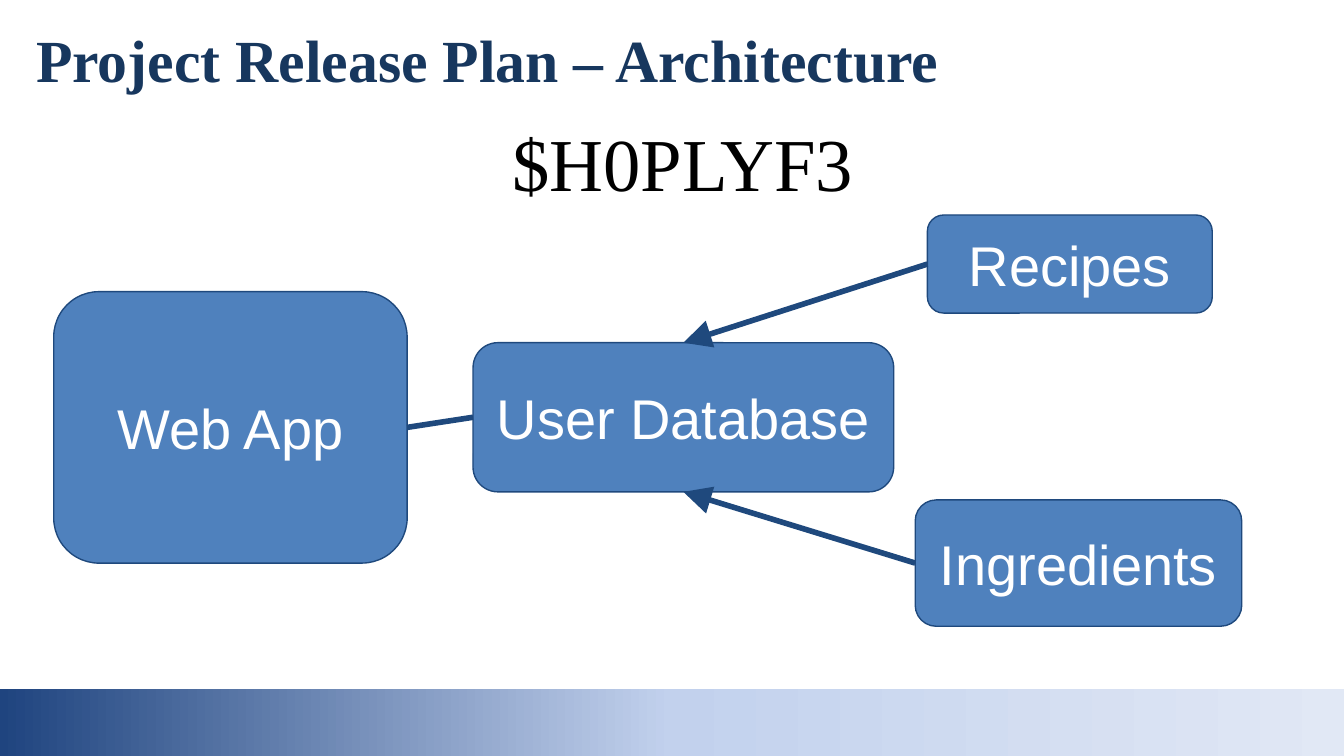
import dataclasses

import lxml.etree
import pptx
import pptx.dml.color
import pptx.enum.shapes
import pptx.enum.text
import pptx.oxml.ns
import pptx.util

Inches = pptx.util.Inches
RGB = pptx.dml.color.RGBColor
Align = pptx.enum.text.PP_ALIGN
Anchor = pptx.enum.text.MSO_ANCHOR
Shape = pptx.enum.shapes.MSO_SHAPE
qn = pptx.oxml.ns.qn

# Widescreen page, 16 by 9
WIDTH = Inches(10)
HEIGHT = Inches(10 * 9 / 16)

NAVY = RGB(0x17, 0x37, 0x5E)
EDGE = RGB(0x1F, 0x49, 0x7D)
BLUE = RGB(0x4F, 0x81, 0xBD)
WHITE = RGB(0xFF, 0xFF, 0xFF)
BLACK = RGB(0, 0, 0)
FADE = [(0, RGB(0x1F, 0x44, 0x7F)), (50, RGB(0xC2, 0xD1, 0xED)),
        (100, RGB(0xE1, 0xE8, 0xF5))]
SERIF, SANS = "Times New Roman", "Arial"
TOP, LEFT, BOTTOM, RIGHT = range(4)  # connection sites


@dataclasses.dataclass
class Box:
    text: str
    left: float
    top: float
    width: float
    height: float


@dataclasses.dataclass
class Link:
    start: str
    exit: int
    end: str
    entry: int
    arrow: bool = True


BOXES = [
    Box("User Database", 3.52, 2.55, 3.13, 1.11),
    Box("Web App", 0.4, 2.17, 2.63, 2.02),
    Box("Recipes", 6.9, 1.6, 2.12, 0.73),
    Box("Ingredients", 6.81, 3.72, 2.43, 0.94),
]
LINKS = [
    Link("Recipes", LEFT, "User Database", TOP),
    Link("Web App", RIGHT, "User Database", LEFT, arrow=False),
    Link("Ingredients", LEFT, "User Database", BOTTOM),
]


def write(shape, text: str, *, size: float, color: RGB, font: str = SANS,
          bold: bool = False, align=Align.CENTER, anchor=Anchor.MIDDLE,
          inset: float = 0.05) -> None:
    """Fill a shape with one formatted line of text."""
    frame = shape.text_frame
    frame.word_wrap = True
    frame.auto_size = pptx.enum.text.MSO_AUTO_SIZE.NONE
    frame.vertical_anchor = anchor
    frame.margin_left = frame.margin_right = Inches(0.1)
    frame.margin_top = frame.margin_bottom = Inches(inset)
    line = frame.paragraphs[0]
    line.alignment = align
    run = line.add_run()
    run.text = text
    run.font.size = pptx.util.Pt(size)
    run.font.name = font
    run.font.bold = bold
    run.font.color.rgb = color


def draw_band(slide) -> None:
    """Draw the footer band with its three-stop gradient."""
    depth = Inches(0.5)
    band = slide.shapes.add_shape(
        Shape.RECTANGLE, 0, HEIGHT - depth, WIDTH, depth)
    band.shadow.inherit = False
    band.line.fill.background()
    band.fill.gradient()
    band.fill.gradient_angle = 0
    stops = band.fill._fill._gradFill.find(qn("a:gsLst"))
    for stop in list(stops):
        stops.remove(stop)
    for place, color in FADE:
        stop = lxml.etree.SubElement(stops, qn("a:gs"), pos=str(place * 1000))
        lxml.etree.SubElement(stop, qn("a:srgbClr"), val=str(color))


def draw_box(slide, box: Box):
    shape = slide.shapes.add_shape(
        Shape.ROUNDED_RECTANGLE, Inches(box.left), Inches(box.top),
        Inches(box.width), Inches(box.height))
    shape.shadow.inherit = False
    shape.fill.solid()
    shape.fill.fore_color.rgb = BLUE
    shape.line.color.rgb = EDGE
    shape.line.width = pptx.util.Pt(0.75)
    write(shape, box.text, size=30, color=WHITE, inset=0.1)
    return shape


def draw_link(slide, link: Link, nodes: dict) -> None:
    wire = slide.shapes.add_connector(
        pptx.enum.shapes.MSO_CONNECTOR.STRAIGHT, 0, 0, 0, 0)
    wire.begin_connect(nodes[link.start], link.exit)
    wire.end_connect(nodes[link.end], link.entry)
    wire.line.color.rgb = EDGE
    wire.line.width = pptx.util.Pt(3)
    if link.arrow:
        lxml.etree.SubElement(wire.line._get_or_add_ln(), qn("a:tailEnd"),
                              type="triangle", w="lg", len="lg")
    lxml.etree.SubElement(wire._element.spPr, qn("a:effectLst"))


def main() -> None:
    deck = pptx.Presentation()
    deck.slide_width, deck.slide_height = WIDTH, HEIGHT
    slide = deck.slides.add_slide(deck.slide_layouts[5])

    # Heading and title
    head = slide.shapes.add_textbox(
        Inches(0.17), Inches(0.12), Inches(7.31), Inches(0.48))
    write(head, "Project Release Plan – Architecture", size=32, color=NAVY,
          font=SERIF, bold=True, align=Align.LEFT, anchor=Anchor.TOP)
    title = slide.shapes.title
    title.left, title.top = Inches(0.58), Inches(0.73)
    title.width, title.height = Inches(9), Inches(0.94)
    write(title, "$H0PLYF3", size=40, color=BLACK, font=SERIF)

    # Footer band, then the diagram
    draw_band(slide)
    nodes = {box.text: draw_box(slide, box) for box in BOXES}
    for link in LINKS:
        draw_link(slide, link, nodes)

    deck.save("out.pptx")


main()
